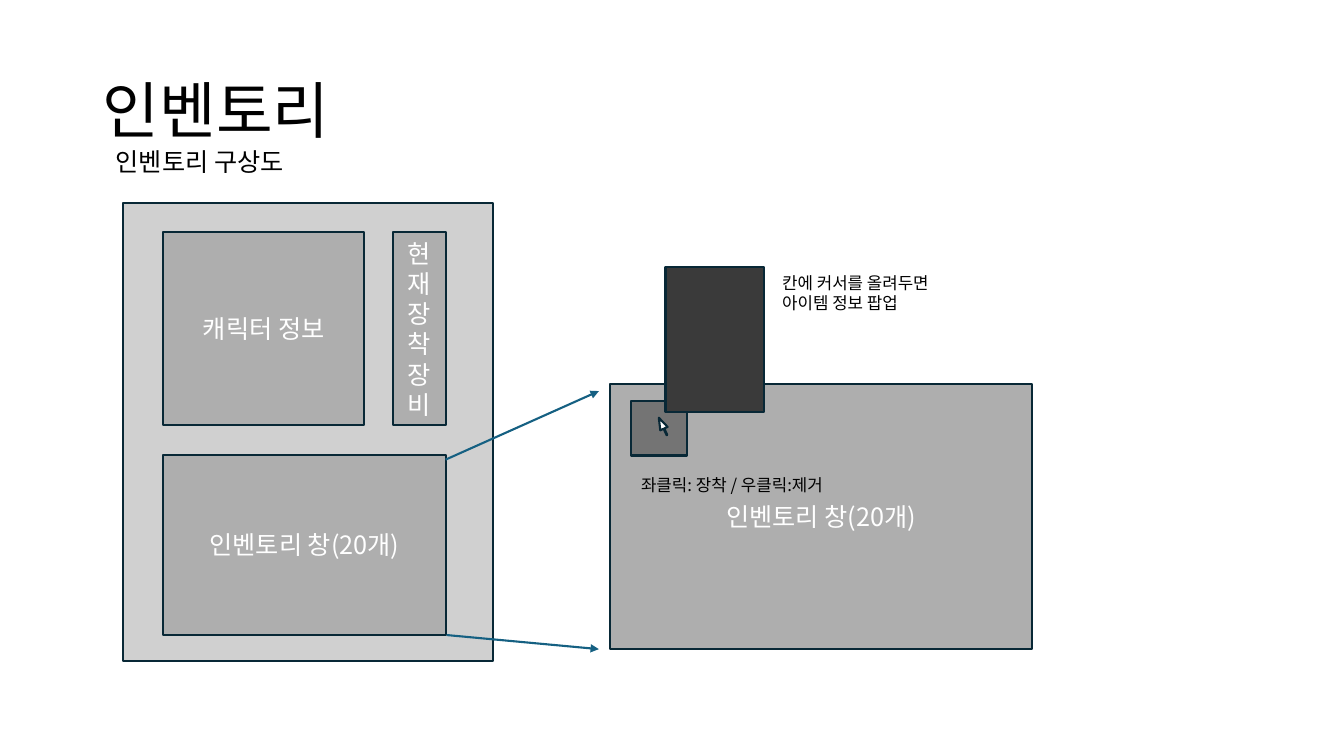
from dataclasses import dataclass

import lxml.etree
import pptx
import pptx.util
import pptx.dml.color
import pptx.enum.shapes
import pptx.enum.text
import pptx.oxml.ns

Inches = pptx.util.Inches
Pt = pptx.util.Pt
qn = pptx.oxml.ns.qn
SHAPES = pptx.enum.shapes.MSO_SHAPE
ALIGN = pptx.enum.text.PP_ALIGN
ANCHOR = pptx.enum.text.MSO_ANCHOR
AUTO_SIZE = pptx.enum.text.MSO_AUTO_SIZE

FONT = "Noto Sans CJK KR"
COLORS = {
    "window": "D0D0D0",
    "panel": "AEAEAE",
    "slot": "747474",
    "popup": "3A3A3A",
    "outline": "082836",
    "arrow": "156082",
    "white": "FFFFFF",
    "black": "000000",
}


@dataclass
class Panel:
    left: float
    top: float
    width: float
    height: float
    fill: str
    label: str = ""


@dataclass
class Caption:
    left: float
    top: float
    width: float
    height: float
    text: str
    size: int
    line_spacing: float = 1.0
    grows: bool = True


@dataclass
class ZoomArrow:
    start: tuple[float, float]
    end: tuple[float, float]


PANELS = [
    Panel(1.22, 2.01, 3.67, 4.55, "window"),
    Panel(1.62, 2.3, 1.99, 1.92, "panel", "캐릭터 정보"),
    Panel(3.9, 2.3, 0.52, 1.92, "panel", "현재 장착 장비"),
    Panel(1.62, 4.51, 2.8, 1.79, "panel", "인벤토리 창(20개)"),
    Panel(6.05, 3.81, 4.19, 2.63, "panel", "인벤토리 창(20개)"),
    Panel(6.26, 3.98, 0.55, 0.54, "slot"),
    Panel(6.6, 2.65, 0.98, 1.44, "popup"),
]
CAPTIONS = [
    Caption(1.05, 1.44, 2.13, 0.41, "인벤토리 구상도", 18, 0.9, False),
    Caption(7.66, 2.66, 1.96, 0.5, "칸에 커서를 올려두면 아이템 정보 팝업", 12),
    Caption(6.26, 4.66, 2.4, 0.3, "좌클릭: 장착 / 우클릭:제거", 12),
]
ZOOM_ARROWS = [
    ZoomArrow((4.43, 6.3), (5.94, 6.44)),
    ZoomArrow((4.42, 4.56), (5.94, 3.88)),
]


def rgb(name: str) -> pptx.dml.color.RGBColor:
    return pptx.dml.color.RGBColor.from_string(COLORS[name])


def write(frame, text: str, size: int, color: str, line_spacing: float = 1.0) -> None:
    frame.word_wrap = True
    frame.text = text
    paragraph = frame.paragraphs[0]
    paragraph.line_spacing = line_spacing
    for run in paragraph.runs:
        run.font.size = Pt(size)
        run.font.color.rgb = rgb(color)
        run.font.name = FONT
        east_asian = lxml.etree.SubElement(run.font._element, qn("a:ea"))
        east_asian.set("typeface", FONT)


def draw_shape(slide, kind, box: Panel):
    shape = slide.shapes.add_shape(
        kind, Inches(box.left), Inches(box.top), Inches(box.width), Inches(box.height)
    )
    shape.shadow.inherit = False
    shape.fill.solid()
    shape.fill.fore_color.rgb = rgb(box.fill)
    shape.line.color.rgb = rgb("outline")
    shape.line.width = Pt(1.5)
    if box.label:
        write(shape.text_frame, box.label, 18, "white")
        shape.text_frame.vertical_anchor = ANCHOR.MIDDLE
        shape.text_frame.paragraphs[0].alignment = ALIGN.CENTER
    return shape


def draw_caption(slide, caption: Caption) -> None:
    frame = slide.shapes.add_textbox(
        Inches(caption.left), Inches(caption.top), Inches(caption.width), Inches(caption.height)
    ).text_frame
    write(frame, caption.text, caption.size, "black", caption.line_spacing)
    frame.auto_size = AUTO_SIZE.SHAPE_TO_FIT_TEXT if caption.grows else AUTO_SIZE.NONE


def draw_zoom_arrow(slide, arrow: ZoomArrow) -> None:
    connector = slide.shapes.add_connector(
        pptx.enum.shapes.MSO_CONNECTOR.STRAIGHT,
        *(Inches(value) for value in arrow.start + arrow.end),
    )
    connector.line.color.rgb = rgb("arrow")
    connector.line.width = Pt(1.5)
    properties = connector._element.spPr
    lxml.etree.SubElement(properties.find(qn("a:ln")), qn("a:tailEnd")).set("type", "triangle")
    lxml.etree.SubElement(properties, qn("a:effectLst"))


def draw_title(slide, text: str) -> None:
    title = slide.shapes.title
    title.left, title.top = Inches(0.92), Inches(0.4)
    title.width, title.height = Inches(11.5), Inches(1.45)
    write(title.text_frame, text, 44, "black", 0.9)
    title.text_frame.vertical_anchor = ANCHOR.MIDDLE
    title.text_frame.paragraphs[0].alignment = ALIGN.LEFT


def main() -> None:
    presentation = pptx.Presentation()
    presentation.slide_width = Inches(13.33)
    presentation.slide_height = Inches(7.5)
    slide = presentation.slides.add_slide(presentation.slide_layouts[5])
    draw_title(slide, "인벤토리")
    for panel in PANELS:
        draw_shape(slide, SHAPES.RECTANGLE, panel)
    for arrow in ZOOM_ARROWS:
        draw_zoom_arrow(slide, arrow)
    cursor = draw_shape(slide, SHAPES.RIGHT_ARROW, Panel(6.48, 4.19, 0.19, 0.08, "white"))
    cursor.rotation = 244.9
    cursor.adjustments[0] = 0.09
    cursor.adjustments[1] = 1.49
    for caption in CAPTIONS:
        draw_caption(slide, caption)
    presentation.save("out.pptx")


if __name__ == "__main__":
    main()
